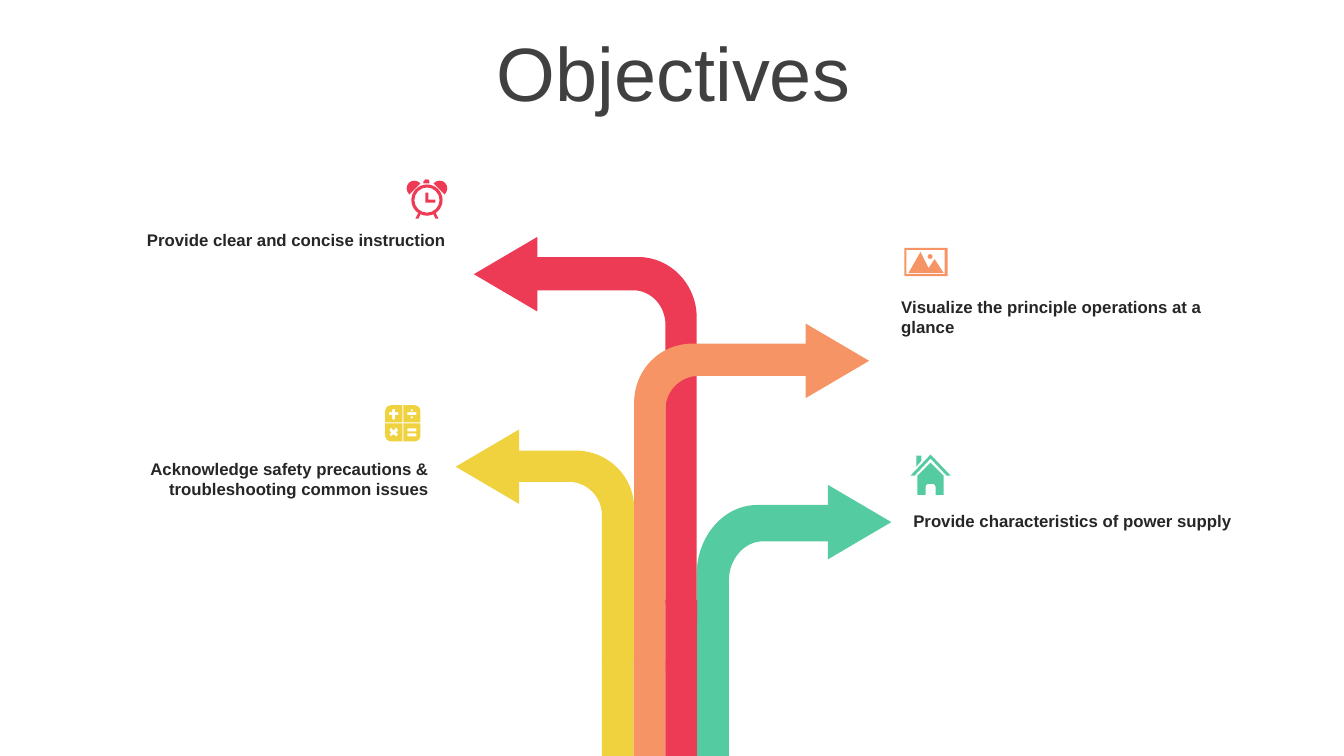
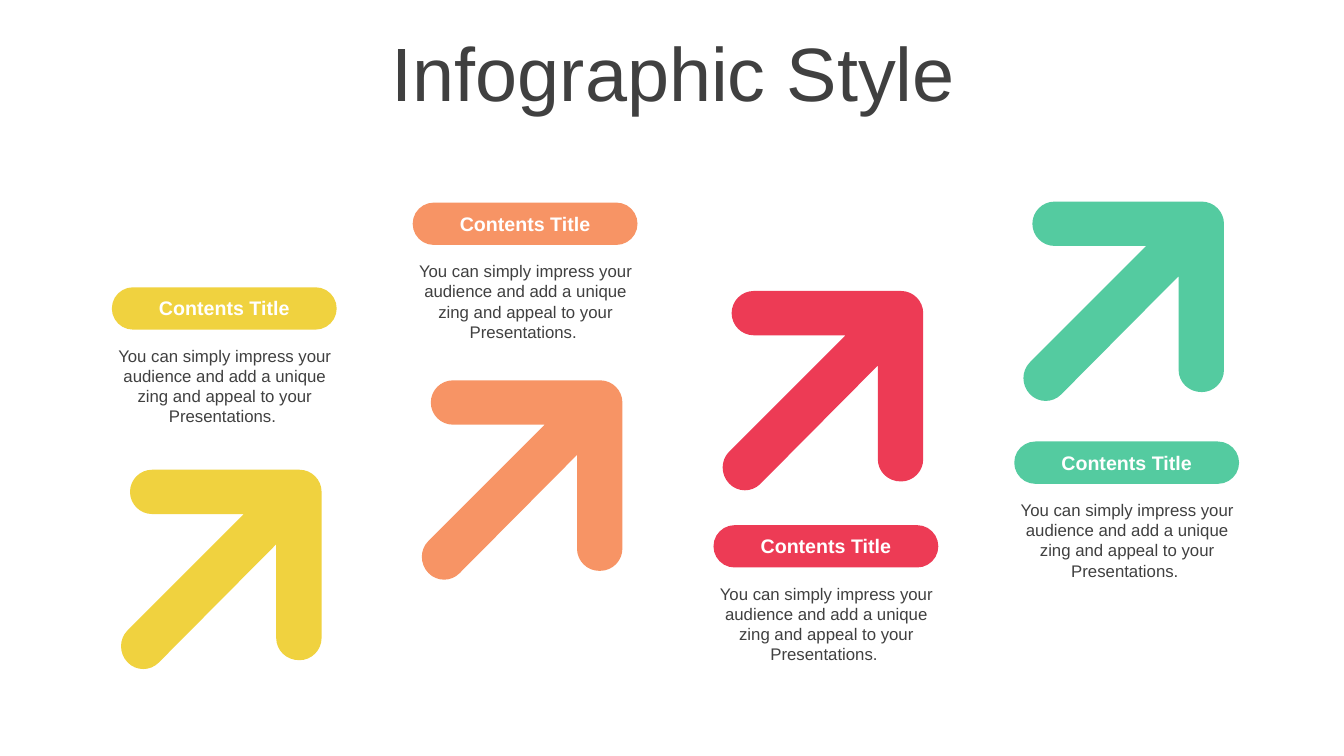
from math import hypot

from pptx import Presentation
from pptx.dml.color import RGBColor
from pptx.enum.shapes import MSO_SHAPE
from pptx.enum.text import MSO_ANCHOR, PP_ALIGN
from pptx.oxml.ns import qn
from pptx.util import Inches, Pt

RECT, PILL, TRIANGLE = (MSO_SHAPE.RECTANGLE, MSO_SHAPE.ROUNDED_RECTANGLE,
                        MSO_SHAPE.ISOSCELES_TRIANGLE)
LEFT, CENTER, RIGHT = PP_ALIGN.LEFT, PP_ALIGN.CENTER, PP_ALIGN.RIGHT
TOP, MIDDLE = MSO_ANCHOR.TOP, MSO_ANCHOR.MIDDLE

FONT = "Arial"
YELLOW, ORANGE, RED, GREEN = "F0D23F", "F79465", "ED3B55", "54CBA0"
WHITE, GREY, DARK = "FFFFFF", "404040", "262626"
SLIDE_W, SLIDE_H = 13.33, 7.5

# Objectives: colour, outer and inner stem edge, stem end, bar top and bottom,
# outer bend (along bar, stem), inner bend (along stem, bar), tip x, arrow centre y
PIPES = [
    (GREEN, 6.91, 7.23, 6.19, 5.01, 5.37, (0.6, 0.69), (0.39, 0.34), 8.84, 5.18),
    (YELLOW, 6.29, 5.97, 6.54, 4.47, 4.78, (0.58, 0.57), (0.33, 0.33), 4.52, 4.63),
    (RED, 6.91, 6.6, 5.99, 2.55, 2.88, (0.58, 0.6), (0.34, 0.32), 4.7, 2.72),
    (ORANGE, 6.29, 6.6, 6.67, 3.41, 3.73, (0.57, 0.58), (0.33, 0.33), 8.62, 3.58),
]
HEAD_W, HEAD_D = 0.74, 0.63
# Colour and top of each base, left to right
BASES = [(YELLOW, 6.54), (ORANGE, 6.54), (RED, 5.95), (GREEN, 6.18)]
BASE_X, BASE_W = 5.97, 0.315
CAPTIONS = [
    ("Visualize the principle operations at a glance", 8.84, 2.89, 3.72, 0.5, LEFT),
    ("Provide characteristics of power supply", 8.96, 5.02, 3.72, 0.3, LEFT),
    ("Provide clear and concise instruction", 0.76, 2.23, 3.76, 0.3, RIGHT),
    ("Acknowledge safety precautions & troubleshooting common issues",
     0.59, 4.5, 3.76, 0.5, RIGHT),
]

# Infographic: colour, label, body text, pill top
BODY = ("You can simply impress your audience and add a unique zing "
        "and appeal to your Presentations. ")
COLUMNS = [
    (YELLOW, "Contents Title", BODY, 2.85),
    (ORANGE, "Contents Title", BODY, 2.01),
    (RED, "Contents Title", BODY, 5.21),
    (GREEN, "Contents Title", BODY, 4.38),
]
STEP_X, STEP_Y = 8.95 / 3, 2.66 / 3
PILL_X, ARROW_X, ARROW_Y = 1.11, 3.19, 4.66
# Arrow outline from its top right corner: x, y, corner radius
ARROW = [(-1.9, 0, 0.22), (0, 0, 0.22), (0, 1.89, 0.22), (-0.45, 1.89, 0.22),
         (-0.45, 0.74), (-1.77, 2.07, 0.22), (-2.08, 1.75, 0.22),
         (-0.77, 0.44), (-1.9, 0.44, 0.22)]


# Outlines, as lists of (x, y), (x, y, radius) or (x, y, radius in, radius out)
def box(x0, y0, x1, y1, radii=(0, 0, 0, 0)):
    corners = [(x0, y0), (x1, y0), (x1, y1), (x0, y1)]
    return [(x, y, r) for (x, y), r in zip(corners, radii)]


def circle(cx, cy, r):
    return box(cx - r, cy - r, cx + r, cy + r, (r,) * 4)


def mirror(points, axis):
    return [(2 * axis - x, y, *r) for x, y, *r in points]


def segments(points):
    """Turn corners into segments: one point for a line, three for a curve."""
    out = []
    for i, (x, y, *radii) in enumerate(points):
        if not any(radii):
            out.append([(x, y)])
            continue
        reach = []
        neighbours = (points[i - 1], points[(i + 1) % len(points)])
        for (nx, ny, *_), r in zip(neighbours, (radii[0], radii[-1])):
            d = hypot(nx - x, ny - y)
            reach.append(((nx - x) / d * r, (ny - y) / d * r))
        (ax, ay), (bx, by) = reach
        start = (x + ax, y + ay)
        last = out[-1][-1] if out else (0, 0)
        if hypot(start[0] - last[0], start[1] - last[1]) > 0.01:
            out.append([start])
        out.append([(x + 0.45 * ax, y + 0.45 * ay),
                    (x + 0.45 * bx, y + 0.45 * by), (x + bx, y + by)])
    return out


def clock_icon():
    cx = 4.235
    leg = [(4.15, 2.11), (4.17, 2.13), (4.15, 2.17), (4.12, 2.17)]
    bell = [(4.06, 1.93), (4, 1.87, 0.08), (4.11, 1.76, 0.08), (4.17, 1.82)]
    hands = [(4.22, 1.91), (4.25, 1.91), (4.25, 1.98), (4.32, 1.98),
             (4.32, 2.01), (4.22, 2.01)]
    return [circle(cx, 1.985, 0.155), circle(cx, 1.985, 0.125), hands,
            leg, mirror(leg, cx), bell, mirror(bell, cx),
            box(4.2, 1.78, 4.26, 1.82, (0.02, 0.02, 0, 0))]


def calculator_icon():
    r = 0.06
    plus = [(3.89, 4.06), (3.92, 4.06), (3.92, 4.09), (3.95, 4.09),
            (3.95, 4.12), (3.92, 4.12), (3.92, 4.16), (3.89, 4.16),
            (3.89, 4.12), (3.86, 4.12), (3.86, 4.09), (3.89, 4.09)]
    times = [(3.88, 4.24), (3.9, 4.27), (3.93, 4.24), (3.95, 4.27),
             (3.93, 4.29), (3.95, 4.31), (3.93, 4.33), (3.9, 4.31),
             (3.88, 4.33), (3.86, 4.31), (3.88, 4.29), (3.86, 4.27)]
    return [box(3.82, 4.02, 3.99, 4.19, (r, 0, 0, 0)),
            box(4, 4.02, 4.17, 4.19, (0, r, 0, 0)),
            box(4, 4.2, 4.17, 4.38, (0, 0, r, 0)),
            box(3.82, 4.2, 3.99, 4.38, (0, 0, 0, r)),
            plus, times,
            *[box(4.04, y, 4.13, y + 0.03) for y in (4.09, 4.25, 4.3)],
            circle(4.085, 4.07, 0.015), circle(4.085, 4.14, 0.015)]


def house_icon():
    walls = [(9.23, 4.59), (9.36, 4.72), (9.36, 4.91), (9.28, 4.91),
             (9.28, 4.8, 0.03), (9.18, 4.8, 0.03), (9.18, 4.91),
             (9.1, 4.91), (9.1, 4.72)]
    roof = [(9.23, 4.51), (9.43, 4.72), (9.39, 4.72), (9.23, 4.55),
            (9.07, 4.72), (9.03, 4.72)]
    chimney = [(9.09, 4.52), (9.14, 4.52), (9.14, 4.57), (9.09, 4.63)]
    return [walls, roof, chimney]


def landscape_icon():
    hills = [(9.13, 2.5), (9.21, 2.66), (9.27, 2.57), (9.36, 2.71), (9.01, 2.71)]
    return [box(8.97, 2.46, 9.4, 2.74), box(8.99, 2.48, 9.37, 2.72),
            hills, circle(9.225, 2.545, 0.025)]


ICONS = [(RED, clock_icon()), (YELLOW, calculator_icon()),
         (GREEN, house_icon()), (ORANGE, landscape_icon())]


# Drawing helpers
def rgb(value):
    return RGBColor.from_string(value)


def paint(sp, colour):
    sp.shadow.inherit = False
    sp.fill.solid()
    sp.fill.fore_color.rgb = rgb(colour)
    sp.line.fill.background()
    return sp


def add_preset(shapes, kind, x, y, w, h, colour):
    sp = shapes.add_shape(kind, Inches(x), Inches(y), Inches(w), Inches(h))
    return paint(sp, colour)


def add_outline(shapes, contours, colour):
    builder, sizes = None, []
    for contour in contours:
        (start,), *parts = segments(contour)
        first, *rest = [(Inches(x), Inches(y)) for x, y in [start, *sum(parts, [])]]
        if builder is None:
            builder = shapes.build_freeform(*first)
        else:
            builder.move_to(*first)
        builder.add_line_segments(rest, close=True)
        sizes += [len(part) for part in parts]
    sp = builder.convert_to_shape()
    # Merge each run of three points into one curve
    outline = next(sp._element.iter(qn("a:path")))
    nodes = iter(outline.findall(qn("a:lnTo")))
    for size in sizes:
        node = next(nodes)
        if size == 3:
            node.tag = qn("a:cubicBezTo")
            for extra in (next(nodes), next(nodes)):
                node.append(extra[0])
                outline.remove(extra)
    return paint(sp, colour)


def write(sp, text, size, colour, align, bold=False, anchor=TOP):
    tf = sp.text_frame
    tf.word_wrap = True
    tf.vertical_anchor = anchor
    p = tf.paragraphs[0]
    p.text = text
    p.alignment = align
    p.font.name, p.font.size, p.font.bold = FONT, Pt(size), bold
    p.font.color.rgb = rgb(colour)
    return p


def add_text(shapes, x, y, w, h, *args, **options):
    sp = shapes.add_textbox(Inches(x), Inches(y), Inches(w), Inches(h))
    return write(sp, *args, **options)


def add_slide(prs, title):
    s = prs.slides.add_slide(prs.slide_layouts[6])
    p = add_text(s.shapes, 0.35, 0.37, 12.66, 0.79, title, 54, GREY, CENTER,
                 anchor=MIDDLE)
    p.line_spacing = 0.9
    return s


def objectives(prs):
    shapes = add_slide(prs, "Objectives").shapes
    # Bent pipes, then their arrowheads
    for colour, outer, inner, end, top, bottom, r_out, r_in, tip, _ in PIPES:
        bar_end = tip - 0.5 if tip > outer else tip + 0.5
        add_outline(shapes, [[(bar_end, top), (outer, top, *r_out), (outer, end),
                              (inner, end), (inner, bottom, *r_in),
                              (bar_end, bottom)]], colour)
    for colour, outer, *_, tip, cy in PIPES:
        side = 1 if tip > outer else -1
        cx = tip - side * HEAD_D / 2
        sp = add_preset(shapes, TRIANGLE, cx - HEAD_W / 2, cy - HEAD_D / 2,
                        HEAD_W, HEAD_D, colour)
        sp.rotation = 90 * side % 360
    # Straight bases
    for i, (colour, top) in enumerate(BASES):
        add_preset(shapes, RECT, BASE_X + i * BASE_W, top, BASE_W,
                   SLIDE_H - top, colour)
    # Captions and icons
    for text, x, y, w, h, align in CAPTIONS:
        add_text(shapes, x, y, w, h, text, 12, DARK, align, bold=True)
    for colour, contours in ICONS:
        add_outline(shapes, contours, colour)


def infographic(prs):
    shapes = add_slide(prs, "Infographic Style").shapes
    # Diagonal arrows
    for i, (colour, *_) in enumerate(COLUMNS):
        x, y = ARROW_X + i * STEP_X, ARROW_Y - i * STEP_Y
        add_outline(shapes, [[(x + dx, y + dy, *r) for dx, dy, *r in ARROW]], colour)
    # Pills with their text
    for i, (colour, label, body, top) in enumerate(COLUMNS):
        left = PILL_X + i * STEP_X
        group = shapes.add_group_shape().shapes
        sp = add_preset(group, PILL, left, top, 2.23, 0.42, colour)
        sp.adjustments[0] = 0.5
        add_text(group, left - 0.09, top + 0.53, 2.42, 0.91, body, 12, GREY, CENTER)
        add_text(group, left + 0.07, top + 0.04, 2.09, 0.34, label, 14, WHITE,
                 CENTER, bold=True)


def main():
    prs = Presentation()
    prs.slide_width, prs.slide_height = Inches(SLIDE_W), Inches(SLIDE_H)
    objectives(prs)
    infographic(prs)
    prs.save("out.pptx")


if __name__ == "__main__":
    main()
